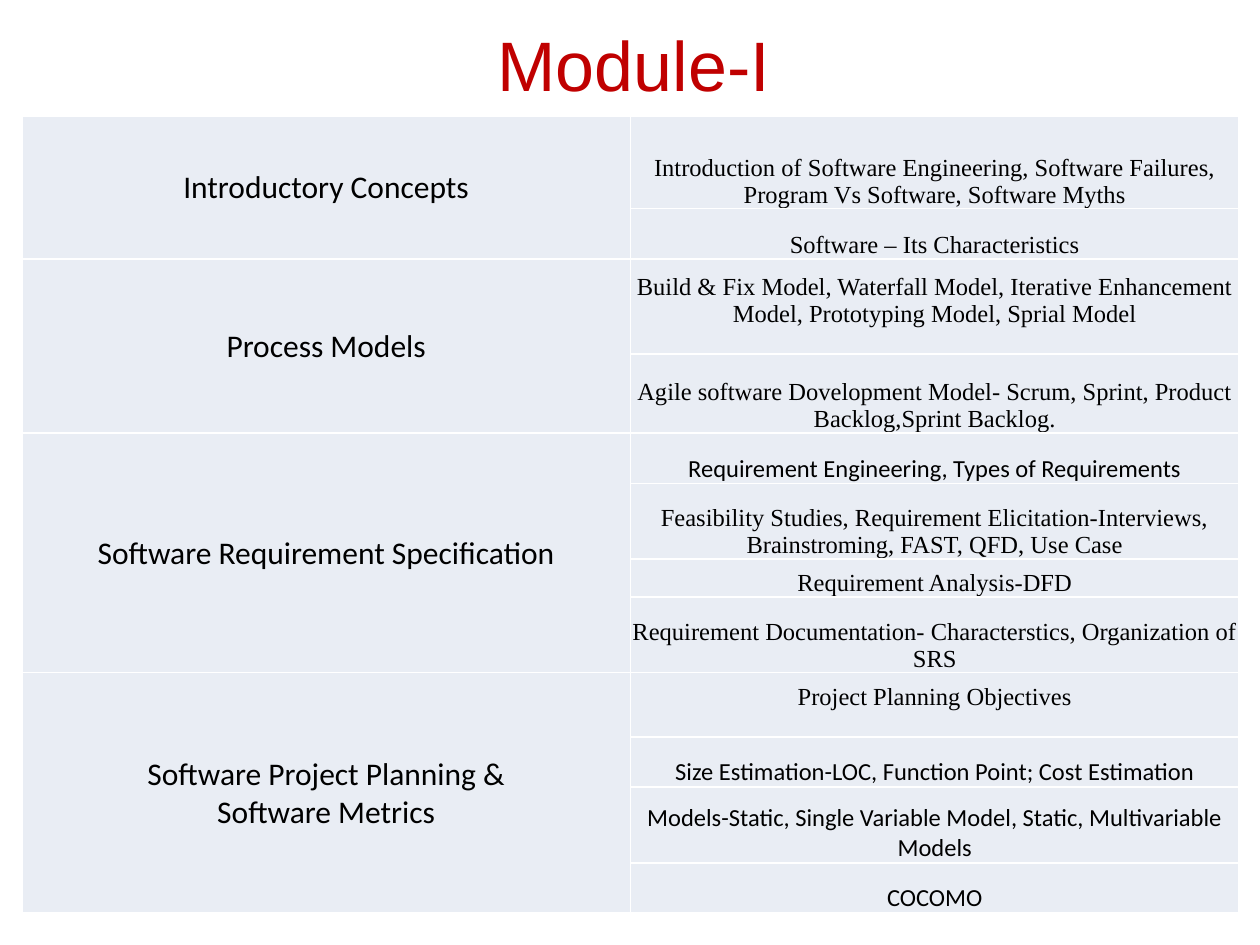
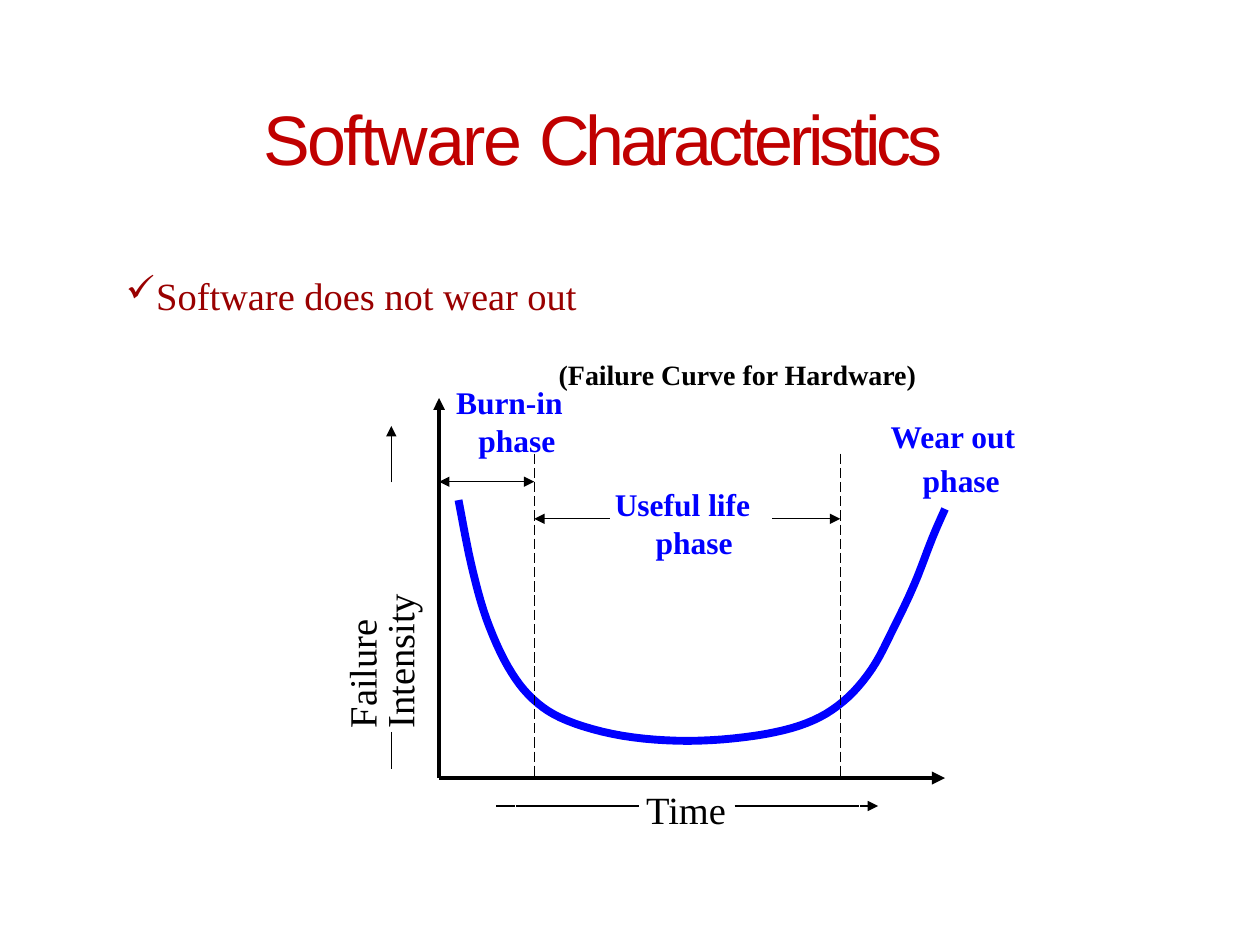
import pptx
import pptx.dml.color
import pptx.enum.dml
import pptx.enum.shapes
import pptx.enum.text
import pptx.oxml
import pptx.oxml.ns
import pptx.util

Pt = pptx.util.Pt
qn = pptx.oxml.ns.qn
CENTER = pptx.enum.text.PP_ALIGN.CENTER
MIDDLE = pptx.enum.text.MSO_ANCHOR.MIDDLE
BOTTOM = pptx.enum.text.MSO_ANCHOR.BOTTOM
NS = 'xmlns:a="http://schemas.openxmlformats.org/drawingml/2006/main"'

BLACK, WHITE, BLUE = "000000", "FFFFFF", "0000FF"
TITLE_RED, DARK_RED, CELL = "C00000", "990000", "E9EDF4"
SERIF, SANS = "Times New Roman", "Calibri"
TITLE = ("Arial", 40, TITLE_RED, False)
PHASE = (SERIF, 18, BLUE, True)
AXIS = (SERIF, 22, BLACK, False)


def rgb(code):
    """Turn a hex string into a colour."""
    return pptx.dml.color.RGBColor.from_string(code)


def add_run(p, text, style, spacing=0):
    """Add a run in a (font, size, colour, bold) style; a newline breaks the line."""
    for i, line in enumerate(text.split("\n")):
        if i:
            p.add_line_break()
        r = p.add_run()
        r.text = line
        r.font.name, r.font.size, r.font.bold = style[0], Pt(style[1]), style[3]
        r.font.color.rgb = rgb(style[2])
        if spacing:
            r._r.get_or_add_rPr().set("spc", str(spacing))


prs = pptx.Presentation()
prs.slide_width, prs.slide_height = Pt(720), Pt(540)
modules, wear = [prs.slides.add_slide(prs.slide_layouts[6]) for _ in range(2)]

# Slide 1: module table, (topic, [(row height, font, bottom margin, content)])
topics = [
    (["Introductory Concepts"], [
        (53, SERIF, 0, "Introduction of Software Engineering, Software Failures, "
                       "Program Vs Software, Software Myths"),
        (28.8, SERIF, 0, "Software – Its Characteristics")]),
    (["Process Models"], [
        (54.2, SERIF, 15, "Build & Fix Model, Waterfall Model, Iterative Enhancement "
                          "Model, Prototyping Model, Sprial Model"),
        (45.4, SERIF, 0, "Agile software Dovelopment Model- Scrum, Sprint, Product "
                         "Backlog,Sprint Backlog.")]),
    (["Software Requirement Specification"], [
        (28.8, SANS, 0, "Requirement Engineering, Types of Requirements"),
        (43.2, SERIF, 0, "Feasibility Studies, Requirement Elicitation-Interviews, "
                         "Brainstroming, FAST, QFD, Use Case"),
        (21.6, SERIF, 0, "Requirement Analysis-DFD"),
        (43.2, SERIF, 0, "Requirement Documentation- Characterstics, Organization of SRS")]),
    (["Software Project Planning &", "Software Metrics"], [
        (36.7, SERIF, 15, "Project Planning Objectives"),
        (28.8, SANS, 0, "Size Estimation-LOC, Function Point; Cost Estimation"),
        (43.2, SANS, 0, "Models-Static, Single Variable Model, Static, Multivariable Models"),
        (28.8, SANS, 0, "COCOMO")]),
]
rows = [row for _, part in topics for row in part]
table = modules.shapes.add_table(len(rows), 2, Pt(12.5), Pt(66.2), Pt(695.6),
                                 Pt(sum(row[0] for row in rows))).table
table.first_row = table.horz_banding = False
for column in table.columns:
    column.width = Pt(347.8)
for cell in table.iter_cells():
    cell.margin_left = cell.margin_right = cell.margin_top = Pt(0.7)
    cell.margin_bottom = Pt(0)
    for side in "LRTB":
        cell._tc.get_or_add_tcPr().append(pptx.oxml.parse_xml(
            f'<a:ln{side} {NS} w="12700"><a:solidFill><a:srgbClr val="{WHITE}"/>'
            f'</a:solidFill></a:ln{side}>'))
    cell.fill.solid()
    cell.fill.fore_color.rgb = rgb(CELL)

top = 0
for topic, part in topics:
    cell = table.cell(top, 0)
    cell.merge(table.cell(top + len(part) - 1, 0))
    cell.vertical_anchor = MIDDLE
    for i, line in enumerate(topic):
        p = cell.text_frame.add_paragraph() if i else cell.text_frame.paragraphs[0]
        p.alignment = CENTER
        add_run(p, line, (SANS, 18, BLACK, False))
    for i, (height, font, margin, content) in enumerate(part, top):
        table.rows[i].height = Pt(height)
        cell = table.cell(i, 1)
        cell.vertical_anchor = BOTTOM
        cell.margin_bottom = Pt(margin)
        p = cell.text_frame.paragraphs[0]
        p.alignment = CENTER
        add_run(p, content, (font, 14, BLACK, False))
    top += len(part)

# Slide 2: failure curve, a smooth line through its knots
knots = [(262, 285.8), (269.3, 322.6), (277.9, 353.5), (290.2, 380.9), (304.6, 399.6),
         (324, 411.8), (355.7, 420.5), (393.1, 423.4), (431.3, 420.5), (460.8, 413.3),
         (481.7, 401), (498.2, 382.3), (511.2, 357.8), (522.7, 333.4), (532.8, 307.4),
         (540, 290.9)]
ends = [knots[0]] + knots + [knots[-1]]
STEPS = 6
points = []
for a, b, c, d in zip(ends, ends[1:], ends[2:], ends[3:]):
    for step in range(1, STEPS + 1):
        t = step / STEPS
        points.append(tuple(
            Pt(b[i] + (c[i] - a[i]) * t / 2
               + (2 * a[i] - 5 * b[i] + 4 * c[i] - d[i]) * t ** 2 / 2
               + (3 * b[i] - a[i] - 3 * c[i] + d[i]) * t ** 3 / 2) for i in (0, 1)))
builder = wear.shapes.build_freeform(Pt(knots[0][0]), Pt(knots[0][1]))
builder.add_line_segments(points, close=False)
curve = builder.convert_to_shape()
curve.shadow.inherit = False
curve.fill.background()
curve.line.color.rgb = rgb(BLUE)
curve.line.width = Pt(4.5)

# Axes, phase limits and arrows: x1, y1, x2, y2, width, arrowheads, dashed
left, base, burn_end, life_end = 250.9, 444.6, 305.3, 480.2
lines = [
    (left, base, left, 227.5, 2.25, ["tail"], False),
    (left, base, 540, base, 2.5, ["tail"], False),
    (burn_end, 259.2, burn_end, base, 0.75, [], True),
    (life_end, 259.2, life_end, base, 0.75, [], True),
    (left, 275.3, burn_end, 275.3, 0.75, ["head", "tail"], False),
    (349, 296.5, burn_end, 296.5, 0.75, ["tail"], False),
    (441.4, 296.5, life_end, 296.5, 0.75, ["tail"], False),
    (283.7, 460.6, 365.4, 460.6, 0.75, [], False),
    (419.8, 460.6, 501.8, 460.6, 0.75, ["tail"], False),
    (223.6, 275.6, 223.6, 243.4, 0.75, ["tail"], False),
    (223.6, 418.3, 223.6, 439.2, 0.75, [], False),
]
for x1, y1, x2, y2, width, heads, dashed in lines:
    line = wear.shapes.add_connector(pptx.enum.shapes.MSO_CONNECTOR.STRAIGHT,
                                     Pt(x1), Pt(y1), Pt(x2), Pt(y2))
    line.line.color.rgb = rgb(BLACK)
    line.line.width = Pt(width)
    if dashed:
        line.line.dash_style = pptx.enum.dml.MSO_LINE.LONG_DASH
    spPr = line._element.spPr
    for head in heads:
        spPr.find(qn("a:ln")).append(pptx.oxml.parse_xml(f'<a:{head}End {NS} type="triangle"/>'))
    spPr.append(pptx.oxml.parse_xml(f"<a:effectLst {NS}/>"))

# White frames around the useful life and time labels
for x, y, w, h in [(349.2, 280.8, 87.1, 36.7), (294.5, 450, 196.6, 26.6)]:
    frame = wear.shapes.add_shape(pptx.enum.shapes.MSO_SHAPE.RECTANGLE, Pt(x), Pt(y), Pt(w), Pt(h))
    frame.shadow.inherit = False
    frame.fill.background()
    frame.line.color.rgb = rgb(WHITE)
    frame.line.width = Pt(0.75)

# Text boxes: slide, box, paragraphs of
# (runs, left margin, first-line indent, space before, line spacing, alignment)
boxes = [
    (modules, (192.2, 12.2, 339.8, 48.2),
     [([("Module-I", TITLE, 0)], 0, 0, 0, 1.0, CENTER)]),
    (wear, (149.8, 54, 468, 49.7),
     [([("Software ", TITLE, -140), ("Characteristics", TITLE, -240)], 0.7, 0, 0.8, 1.0, None)]),
    (wear, (71.3, 154.8, 535, 73.4),
     [([("Software does not wear out", (SERIF, 22, DARK_RED, False), 0)], 18, -17.3, 0.9, 1.0, None),
      ([("(Failure Curve for Hardware)", (SERIF, 16, BLACK, True), 0)], 248, 0, 22.5, 1.0, None)]),
    (wear, (350.6, 276.5, 79.9, 44.6),
     [([("Useful life\nphase", PHASE, 0)], 24, -23.3, 0.9, 1.0, None)]),
    (wear, (508.3, 234, 74.9, 51.8),
     [([("Wear out\nphase", PHASE, 0)], 19, -18.3, 0.9, 1.17, None)]),
    (wear, (259.9, 218.2, 63.4, 44.6),
     [([("Burn-in\nphase", PHASE, 0)], 13.5, -12.8, 0.9, 1.0, None)]),
    (wear, (198, 275.8, 44.6, 141.1),
     [([("Failure\nIntensity", AXIS, 0)], 0.7, 0, 0, Pt(21.6), None)]),
    (wear, (368.6, 448.6, 47.5, 27.4),
     [([("Time", AXIS, 0)], 0.7, 0, 0.9, 1.0, None)]),
]
for s, box, paragraphs in boxes:
    sp = s.shapes.add_textbox(*[Pt(v) for v in box])
    tf = sp.text_frame
    tf.word_wrap = True
    tf.margin_left = tf.margin_right = tf.margin_bottom = Pt(0)
    tf.margin_top = Pt(0.7 if s is wear else 0)
    for i, (runs, margin, indent, before, spacing, align) in enumerate(paragraphs):
        p = tf.add_paragraph() if i else tf.paragraphs[0]
        p.alignment, p.space_before, p.line_spacing = align, Pt(before), spacing
        pPr = p._p.get_or_add_pPr()
        pPr.set("marL", str(Pt(margin)))
        pPr.set("indent", str(Pt(indent)))
        for text, style, tracking in runs:
            add_run(p, text, style, tracking)
            if text.startswith("Software does"):
                pPr.append(pptx.oxml.parse_xml(f'<a:buSzPct {NS} val="96000"/>'))
                pPr.append(pptx.oxml.parse_xml(f'<a:buChar {NS} char="✓"/>'))
            if text.startswith("Failure"):
                tf._txBody.bodyPr.set("vert", "vert270")

prs.save("out.pptx")
